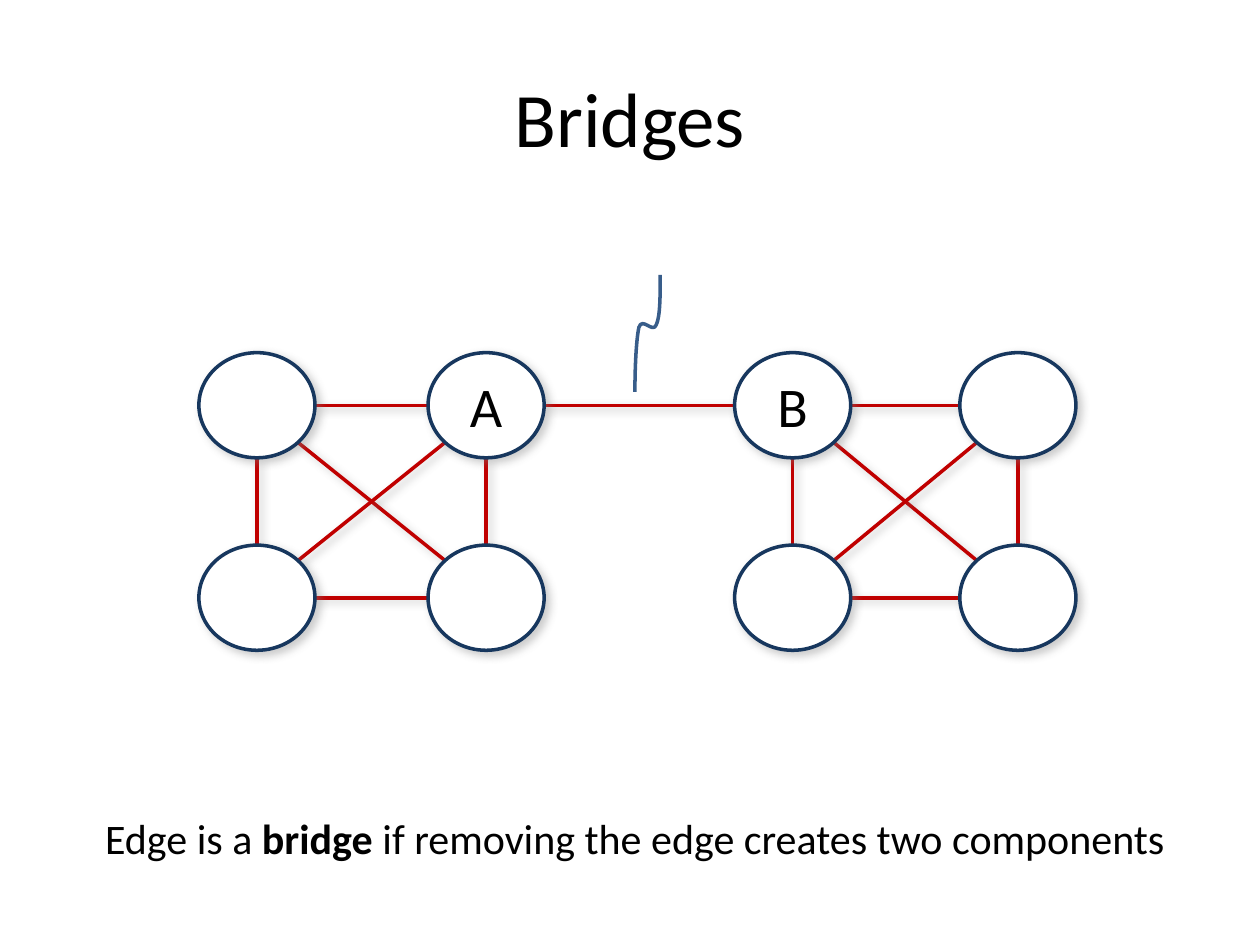
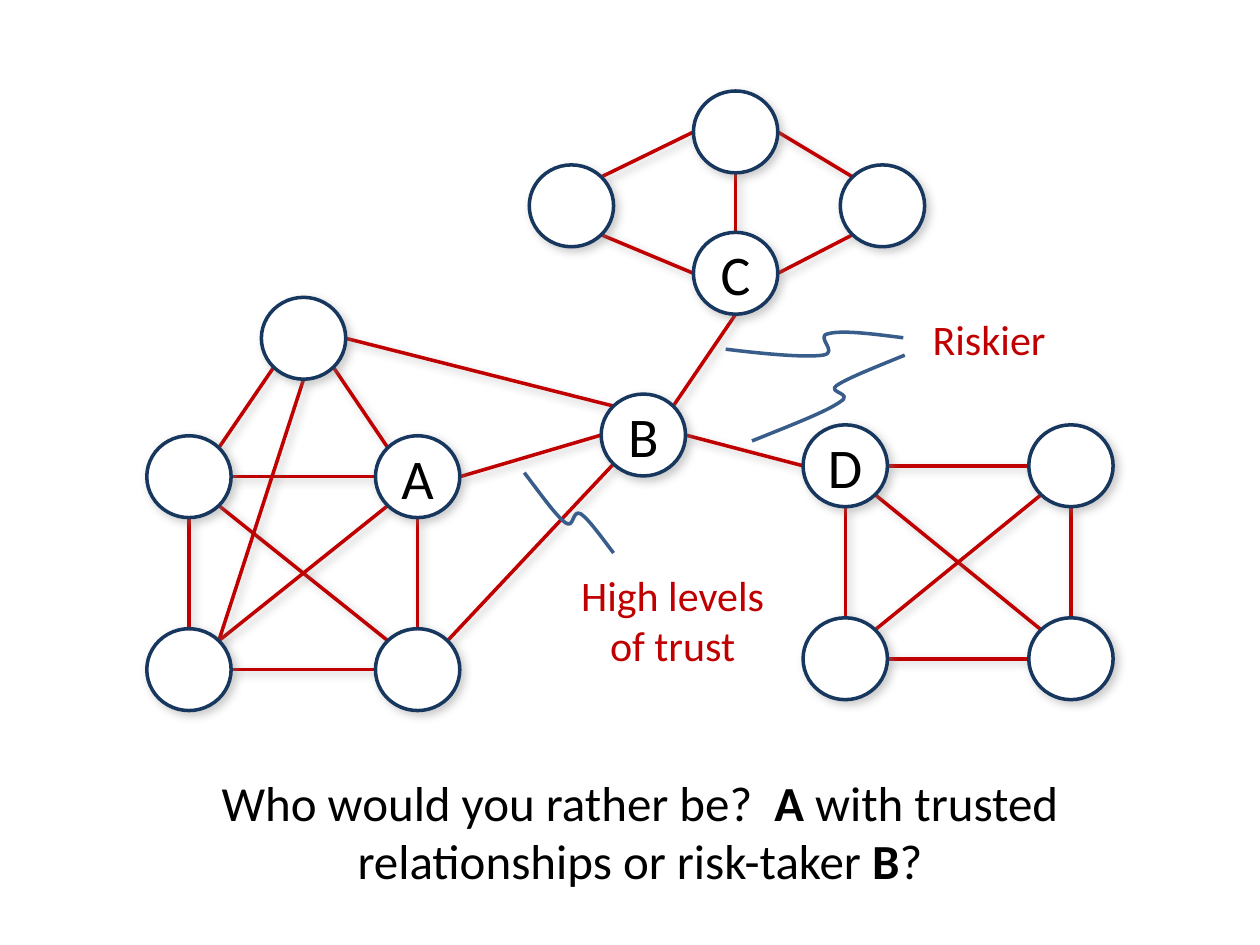
"""Build two slides on bridges in social networks."""
from dataclasses import dataclass
from enum import IntEnum
from math import cos, radians, sin

from lxml.etree import SubElement
from pptx import Presentation
from pptx.dml.color import RGBColor
from pptx.enum.shapes import MSO_CONNECTOR, MSO_SHAPE
from pptx.enum.text import MSO_ANCHOR, PP_ALIGN
from pptx.oxml.ns import qn
from pptx.util import Cm, Pt

BLACK = RGBColor(0x00, 0x00, 0x00)
WHITE = RGBColor(0xFF, 0xFF, 0xFF)
RED = RGBColor(0xC0, 0x00, 0x00)
NAVY = RGBColor(0x17, 0x37, 0x5E)
BLUE = RGBColor(0x38, 0x5D, 0x8A)
GREY = RGBColor(0x80, 0x80, 0x80)
FONT = "Calibri"
LINE_WIDTH = Pt(2)


class Site(IntEnum):
    """Points on a node's rim, as clockwise degrees from the right."""
    RIGHT = 0
    BOTTOM_RIGHT = 45
    BOTTOM = 90
    BOTTOM_LEFT = 135
    LEFT = 180
    TOP_LEFT = 225
    TOP = 270
    TOP_RIGHT = 315


@dataclass(frozen=True)
class Node:
    """A network member, placed by its centre in centimetres."""
    x: float
    y: float
    width: float
    height: float
    label: str = ""

    def rim(self, site: Site) -> tuple:
        """Return the point of the rim at a site."""
        angle = radians(site)
        return (Cm(self.x + self.width / 2 * cos(angle)),
                Cm(self.y + self.height / 2 * sin(angle)))


@dataclass(frozen=True)
class Edge:
    """A tie between two nodes."""
    start: Node
    start_site: Site
    end: Node
    end_site: Site


@dataclass(frozen=True)
class Span:
    """A piece of text in one weight."""
    text: str
    bold: bool = False


@dataclass(frozen=True)
class Caption:
    """A centred text box, measured in centimetres."""
    left: float
    top: float
    width: float
    height: float
    size: int
    color: RGBColor
    lines: tuple


def square(lefts: tuple, tops: tuple, size: tuple, labels: tuple) -> list:
    """Return four nodes row by row."""
    centres = [(x, y) for y in tops for x in lefts]
    return [Node(x, y, *size, label) for (x, y), label in zip(centres, labels)]


def clique(nodes: list) -> list:
    """Return the six edges that join a square of nodes."""
    top_left, top_right, low_left, low_right = nodes
    return [
        Edge(top_left, Site.RIGHT, top_right, Site.LEFT),
        Edge(low_left, Site.RIGHT, low_right, Site.LEFT),
        Edge(top_left, Site.BOTTOM, low_left, Site.TOP),
        Edge(top_right, Site.BOTTOM, low_right, Site.TOP),
        Edge(top_left, Site.BOTTOM_RIGHT, low_right, Site.TOP_LEFT),
        Edge(top_right, Site.BOTTOM_LEFT, low_left, Site.TOP_RIGHT),
    ]


def add_shadow(shape) -> None:
    """Give a shape or connector a soft shadow to the lower right."""
    effects = SubElement(shape.element.spPr, qn("a:effectLst"))
    shadow = SubElement(effects, qn("a:outerShdw"), blurRad=str(Pt(5)),
                        dist=str(Pt(3)), dir="2700000", rotWithShape="0")
    color = SubElement(shadow, qn("a:srgbClr"), val=str(GREY))
    SubElement(color, qn("a:alpha"), val="40000")


def add_span(para, span: Span, size: int, color: RGBColor) -> None:
    """Add one formatted run to a centred paragraph."""
    para.alignment = PP_ALIGN.CENTER
    run = para.add_run()
    run.text = span.text
    run.font.name = FONT
    run.font.size = Pt(size)
    run.font.bold = span.bold
    run.font.color.rgb = color


def draw_edge(page, edge: Edge) -> None:
    """Draw an edge between two rims."""
    line = page.shapes.add_connector(
        MSO_CONNECTOR.STRAIGHT, *edge.start.rim(edge.start_site),
        *edge.end.rim(edge.end_site))
    line.line.color.rgb = RED
    line.line.width = LINE_WIDTH
    add_shadow(line)


def draw_node(page, node: Node) -> None:
    """Draw a node with its label, if it has one."""
    oval = page.shapes.add_shape(
        MSO_SHAPE.OVAL, Cm(node.x - node.width / 2), Cm(node.y - node.height / 2),
        Cm(node.width), Cm(node.height))
    oval.fill.solid()
    oval.fill.fore_color.rgb = WHITE
    oval.line.color.rgb = NAVY
    oval.line.width = LINE_WIDTH
    add_shadow(oval)
    if node.label:
        oval.text_frame.vertical_anchor = MSO_ANCHOR.MIDDLE
        add_span(oval.text_frame.paragraphs[0], Span(node.label), 32, BLACK)


def draw_squiggle(page, points: list) -> None:
    """Draw a pointer whose points are a start and triples of curve controls."""
    start, *controls = [(Cm(x), Cm(y)) for x, y in points]
    builder = page.shapes.build_freeform(*start)
    builder.add_line_segments(controls, close=False)
    squiggle = builder.convert_to_shape()
    squiggle.shadow.inherit = False
    squiggle.fill.background()
    squiggle.line.color.rgb = BLUE
    squiggle.line.width = LINE_WIDTH
    segments = list(squiggle.element.iter(qn("a:lnTo")))
    outline = segments[0].getparent()
    for first in range(0, len(segments), 3):
        curve = SubElement(outline, qn("a:cubicBezTo"))
        for segment in segments[first:first + 3]:
            curve.append(segment[0])
            outline.remove(segment)


def draw_caption(page, caption: Caption) -> None:
    """Draw a caption, one paragraph a line."""
    box = page.shapes.add_textbox(Cm(caption.left), Cm(caption.top),
                                  Cm(caption.width), Cm(caption.height))
    frame = box.text_frame
    frame.word_wrap = True
    for index, spans in enumerate(caption.lines):
        para = frame.add_paragraph() if index else frame.paragraphs[0]
        for span in spans:
            add_span(para, span, caption.size, caption.color)


def draw_network(page, nodes: list, edges: list, squiggles: list,
                 captions: list) -> None:
    """Draw a network with its pointers and captions."""
    for edge in edges:
        draw_edge(page, edge)
    for node in nodes:
        draw_node(page, node)
    for points in squiggles:
        draw_squiggle(page, points)
    for caption in captions:
        draw_caption(page, caption)


def build_bridges(deck) -> None:
    """Build the slide that defines a bridge."""
    page = deck.slides.add_slide(deck.slide_layouts[5])
    title = page.shapes.title
    title.left, title.top = Cm(1.27), Cm(0.76)
    title.width, title.height = Cm(22.86), Cm(3.18)
    title.text_frame.vertical_anchor = MSO_ANCHOR.MIDDLE
    add_span(title.text_frame.paragraphs[0], Span("Bridges"), 44, BLACK)

    size, tops = (2.34, 2.12), (8.17, 12.05)
    left_group = square((5.18, 9.8), tops, size, ("", "A", "", ""))
    right_group = square((15.98, 20.52), tops, size, ("B", "", "", ""))
    bridge = Edge(left_group[1], Site.RIGHT, right_group[0], Site.LEFT)
    bridge_pointer = [
        (13.31, 5.54), (13.31, 5.97), (13.31, 6.38), (13.23, 6.55), (13.16, 6.73),
        (12.95, 6.38), (12.88, 6.6), (12.83, 6.83), (12.8, 7.37), (12.8, 7.9)]
    definition = Caption(1.47, 16.26, 22.66, 1.27, 24, BLACK, ((
        Span("Edge is a "), Span("bridge", True),
        Span(" if removing the edge creates two components")),))
    draw_network(page, left_group + right_group,
                 clique(left_group) + clique(right_group) + [bridge],
                 [bridge_pointer], [definition])


def build_trust_and_risk(deck) -> None:
    """Build the slide that compares trusted ties with risky ones."""
    page = deck.slides.add_slide(deck.slide_layouts[6])
    size = (1.7, 1.65)
    trusted = square((3.81, 8.42), (9.61, 13.5), size, ("", "A", "", ""))
    distant = square((17.04, 21.59), (9.39, 13.28), size, ("D", "", "", ""))
    top_left, a, low_left, low_right = trusted
    d = distant[0]
    b = Node(12.97, 8.77, *size, "B")
    c = Node(14.83, 5.51, *size, "C")
    roof = Node(6.12, 6.82, *size)
    summit = Node(14.83, 2.66, *size)
    west = Node(11.52, 4.15, *size)
    east = Node(17.79, 4.15, *size)
    edges = clique(trusted) + clique(distant) + [
        Edge(roof, Site.BOTTOM_LEFT, top_left, Site.TOP_RIGHT),
        Edge(roof, Site.BOTTOM_RIGHT, a, Site.TOP_LEFT),
        Edge(roof, Site.BOTTOM, low_left, Site.TOP_RIGHT),
        Edge(roof, Site.RIGHT, b, Site.TOP_LEFT),
        Edge(a, Site.RIGHT, b, Site.LEFT),
        Edge(low_right, Site.TOP_RIGHT, b, Site.BOTTOM_LEFT),
        Edge(b, Site.RIGHT, d, Site.LEFT),
        Edge(b, Site.TOP_RIGHT, c, Site.BOTTOM),
        Edge(c, Site.TOP, summit, Site.BOTTOM),
        Edge(c, Site.LEFT, west, Site.BOTTOM_RIGHT),
        Edge(c, Site.RIGHT, east, Site.BOTTOM_LEFT),
        Edge(summit, Site.LEFT, west, Site.TOP_RIGHT),
        Edge(summit, Site.RIGHT, east, Site.TOP_LEFT),
    ]
    trust_pointer = [
        (12.37, 11.15), (12.12, 10.82), (11.86, 10.46), (11.71, 10.36), (11.53, 10.26),
        (11.58, 10.67), (11.4, 10.54), (11.2, 10.39), (10.9, 9.96), (10.57, 9.53)]
    risk_pointer_to_c = [
        (18.21, 6.81), (17.58, 6.73), (16.97, 6.65), (16.69, 6.73), (16.43, 6.78),
        (16.92, 7.11), (16.59, 7.16), (16.23, 7.21), (15.44, 7.14), (14.63, 7.04)]
    risk_pointer_to_d = [
        (18.24, 7.16), (17.68, 7.39), (17.09, 7.62), (16.87, 7.77), (16.66, 7.92),
        (17.22, 7.92), (16.94, 8.1), (16.64, 8.31), (15.9, 8.59), (15.16, 8.89)]
    captions = [
        Caption(1.57, 15.44, 22.66, 2.62, 28, BLACK, ((
            Span("Who would you rather be?  "), Span("A", True),
            Span(" with trusted relationships or risk-taker "),
            Span("B", True), Span("?")),)),
        Caption(11.25, 11.35, 4.62, 2.29, 24, RED,
                ((Span("High levels"),), (Span("of trust"),))),
        Caption(17.63, 6.2, 4.62, 1.27, 24, RED, ((Span("Riskier"),),)),
    ]
    draw_network(page, trusted + distant + [b, c, roof, summit, west, east], edges,
                 [trust_pointer, risk_pointer_to_c, risk_pointer_to_d], captions)


def main() -> None:
    """Build and save the deck."""
    deck = Presentation()
    deck.slide_width, deck.slide_height = Cm(25.4), Cm(19.05)
    build_bridges(deck)
    build_trust_and_risk(deck)
    deck.save("out.pptx")


if __name__ == "__main__":
    main()
